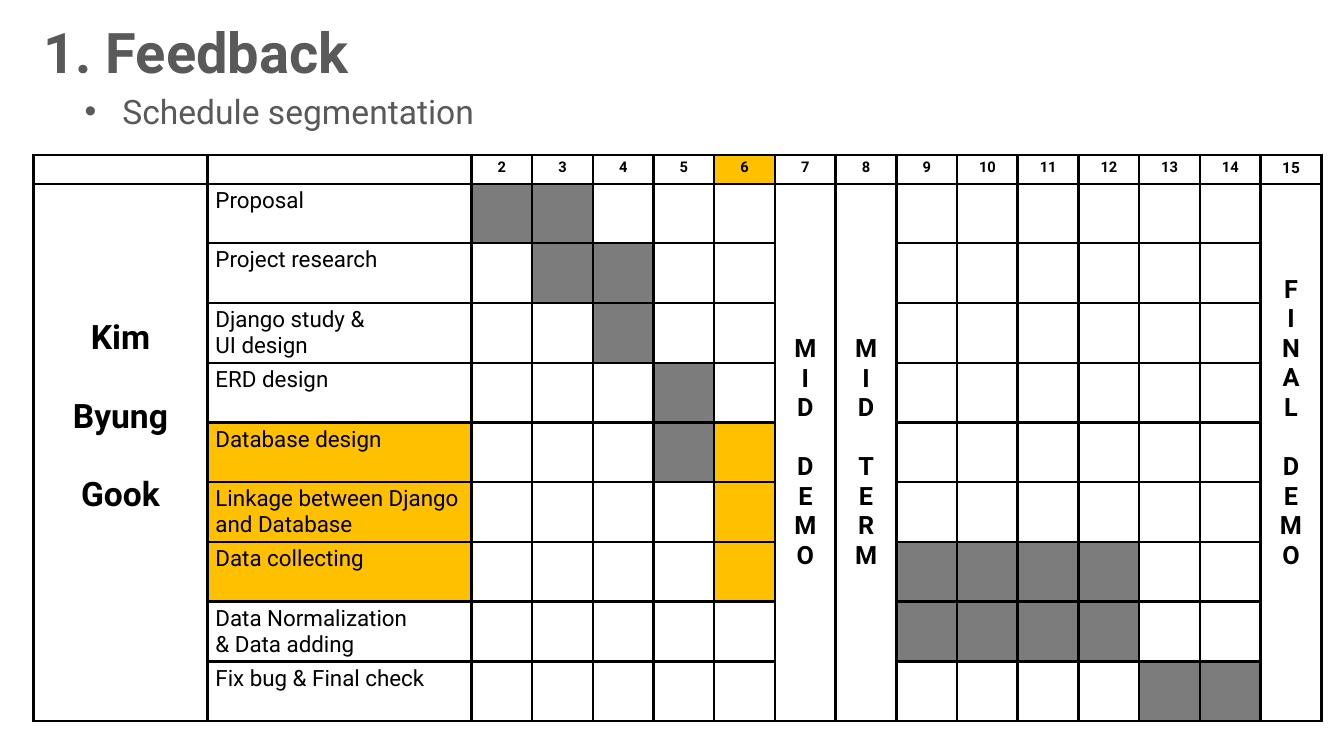
"""Builds the project schedule slide with a week-by-week table."""
from lxml.etree import SubElement
from pptx import Presentation
from pptx.dml.color import RGBColor
from pptx.enum.text import MSO_ANCHOR, MSO_AUTO_SIZE, PP_ALIGN
from pptx.oxml.ns import qn
from pptx.util import Cm, Pt

BLACK = RGBColor(0x00, 0x00, 0x00)
WHITE = RGBColor(0xFF, 0xFF, 0xFF)
HEADING = RGBColor(0x59, 0x59, 0x59)
PLANNED = RGBColor(0x7C, 0x7C, 0x7C)
CURRENT = RGBColor(0xFF, 0xC0, 0x00)

WEEKS = range(2, 16)
CURRENT_WEEK = 6
TASKS = [
    ("Proposal", [2, 3]),
    ("Project research", [3, 4]),
    ("Django study &\nUI design", [4]),
    ("ERD design", [5]),
    ("Database design", [5, 6]),
    ("Linkage between Django and Database", [6]),
    ("Data collecting", [6, 9, 10, 11, 12]),
    ("Data Normalization\n& Data adding", [9, 10, 11, 12]),
    ("Fix bug & Final check", [13, 14]),
]
MILESTONES = {7: "MID DEMO", 8: "MID TERM", 15: "FINAL DEMO"}


def write(frame, text, *, size, bold=False, color=BLACK, align=PP_ALIGN.LEFT, gap=0):
    """Write lines; an empty line in the text becomes a gap in points."""
    first = True
    for block in text.split("\n\n"):
        for number, line in enumerate(block.split("\n")):
            para = frame.paragraphs[0] if first else frame.add_paragraph()
            para.alignment = align
            para.space_before = Pt(0 if first or number else gap)
            first = False
            span = para.add_run()
            span.text = line
            span.font.name = "Roboto"
            span.font.size = Pt(size)
            span.font.bold = bold
            span.font.color.rgb = color


def format_cell(cell, color, thick_sides):
    """Give a cell its borders, fill, insets and empty-line size."""
    properties = cell._tc.get_or_add_tcPr()
    for side in "LRTB":
        width = Pt(2.55 if side in thick_sides else 1.98)
        line = SubElement(properties, qn(f"a:ln{side}"), w=str(width))
        fill = SubElement(line, qn("a:solidFill"))
        SubElement(fill, qn("a:srgbClr"), val=str(BLACK))
    cell.fill.solid()
    cell.fill.fore_color.rgb = color
    cell.margin_left = cell.margin_right = Cm(0.2)
    cell.margin_top = cell.margin_bottom = Cm(0.1)
    if not cell.text:
        SubElement(cell.text_frame.paragraphs[0]._p, qn("a:endParaRPr"), sz="1050")


deck = Presentation()
deck.slide_width, deck.slide_height = Cm(33.87), Cm(19.05)
page = deck.slides.add_slide(deck.slide_layouts[1])

title, subtitle = page.placeholders
title.left, title.top, title.width, title.height = Cm(0.84), Cm(0.3), Cm(15.54), Cm(1.96)
subtitle.left, subtitle.top = Cm(1.88), Cm(2.16)
subtitle.width, subtitle.height = Cm(31.9), Cm(1.28)
for box in (title, subtitle):
    box.text_frame.auto_size = MSO_AUTO_SIZE.NONE
write(title.text_frame, "1. Feedback", size=40, bold=True, color=HEADING)
write(subtitle.text_frame, "Schedule segmentation", size=24, color=HEADING)
bullet = subtitle.text_frame.paragraphs[0]._p.get_or_add_pPr()
bullet.set("marL", str(Cm(0.95)))
bullet.set("indent", str(Cm(-0.95)))
SubElement(bullet, qn("a:buFont"), typeface="Arial")
SubElement(bullet, qn("a:buChar"), char="•")

widths = [Cm(4.39), Cm(6.65)] + [Cm(1.53)] * len(WEEKS)
heights = [Cm(0.72)] + [Cm(1.5)] * len(TASKS)
frame = page.shapes.add_table(len(heights), len(widths), Cm(0.84), Cm(3.91),
                              sum(widths), sum(heights))
schedule = frame.table
schedule.first_row = schedule.horz_banding = False
for column, width in zip(schedule.columns, widths):
    column.width = width
for row, height in zip(schedule.rows, heights):
    row.height = height

for column, week in enumerate(WEEKS, 2):
    write(schedule.cell(0, column).text_frame, str(week),
          size=11 if week == 15 else 10.5, bold=True, align=PP_ALIGN.CENTER)
for row, (task, _) in enumerate(TASKS, 1):
    write(schedule.cell(row, 1).text_frame, task, size=16)

for row in range(len(heights)):
    busy_weeks = TASKS[row - 1][1] if row else [CURRENT_WEEK]
    for column in range(len(widths)):
        week = column if column > 1 else None
        highlighted = row and column == 1 and CURRENT_WEEK in busy_weeks
        color = WHITE
        if highlighted or (week == CURRENT_WEEK and week in busy_weeks):
            color = CURRENT
        elif week in busy_weeks:
            color = PLANNED
        thick = "R" if week in (4, 10) else "L" if week in (5, 11) else ""
        format_cell(schedule.cell(row, column), color, thick)

tall_columns = [(0, "Kim\n\nByung\n\nGook", 24, 28, 1.9)]
for week, name in MILESTONES.items():
    letters = "\n\n".join("\n".join(word) for word in name.split())
    tall_columns.append((week, letters, 18, 21, 1.6 if week == 15 else 0.1))
for column, text, size, gap, bottom in tall_columns:
    cell = schedule.cell(1, column)
    cell.merge(schedule.cell(len(TASKS), column))
    for mark in cell._tc.findall(".//" + qn("a:endParaRPr")):
        mark.getparent().remove(mark)
    cell.vertical_anchor = MSO_ANCHOR.MIDDLE
    cell.margin_bottom = Cm(bottom)
    write(cell.text_frame, text, size=size, bold=True, align=PP_ALIGN.CENTER, gap=gap)

deck.save("out.pptx")
